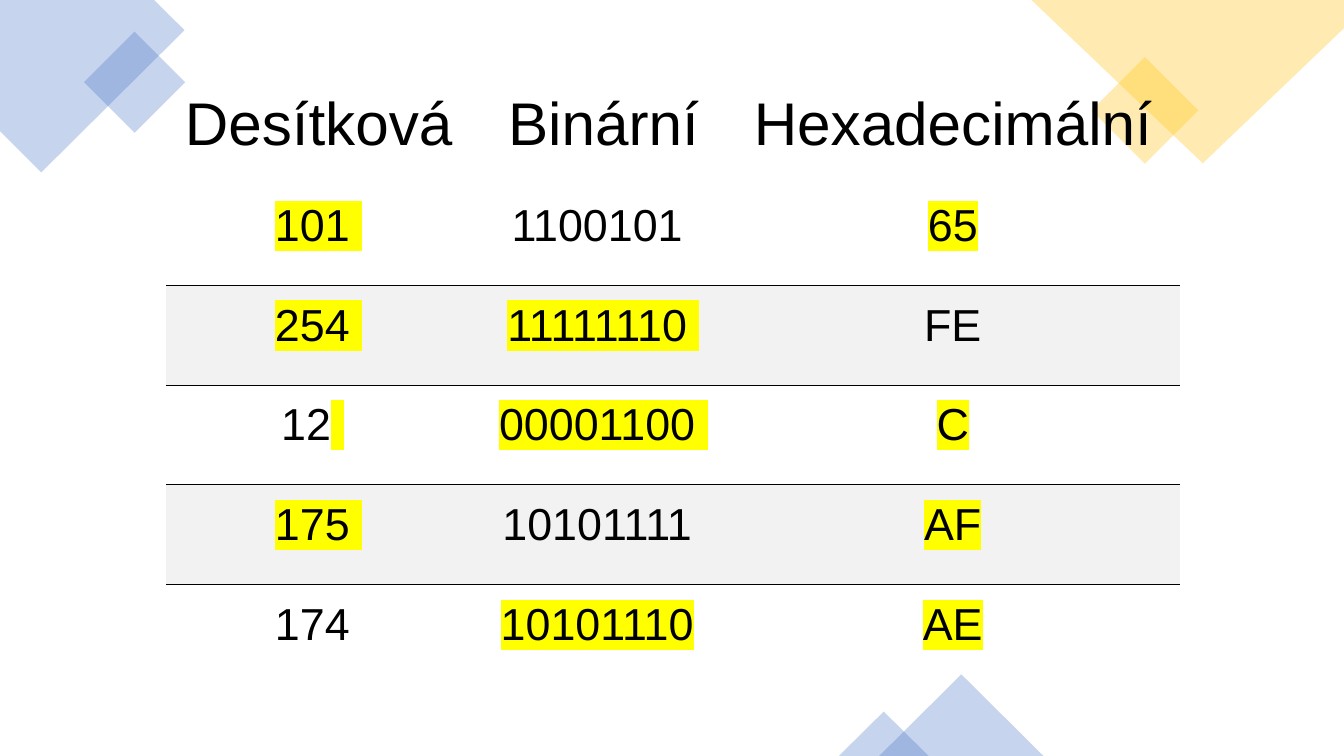
from dataclasses import dataclass

from lxml.etree import SubElement
from pptx import Presentation
from pptx.dml.color import RGBColor
from pptx.enum.shapes import MSO_SHAPE
from pptx.enum.text import MSO_ANCHOR, PP_ALIGN
from pptx.oxml import parse_xml
from pptx.oxml.ns import qn
from pptx.util import Inches, Pt

BLUE = RGBColor(0x44, 0x72, 0xC4)
GOLD = RGBColor(0xFF, 0xC0, 0x00)
BLACK = RGBColor(0x00, 0x00, 0x00)
BAND_GRAY = RGBColor(0xF2, 0xF2, 0xF2)
YELLOW = RGBColor(0xFF, 0xFF, 0x00)
DRAWING_NS = "http://schemas.openxmlformats.org/drawingml/2006/main"
NO_STYLE_NO_GRID = "{2D5ABB26-0587-4C30-8999-92F81FD0307C}"


@dataclass(frozen=True)
class Ornament:
    preset: MSO_SHAPE
    left: float
    top: float
    width: float
    height: float
    color: RGBColor
    rotation: float = 0


@dataclass(frozen=True)
class CornerPatch:
    points: tuple[tuple[float, float], ...]
    color: RGBColor


@dataclass(frozen=True)
class Piece:
    text: str
    marked: bool = False


CORNER_PATCHES = [
    CornerPatch(((1.53, 0), (0, 0), (0, 1.3), (0.41, 1.71), (1.83, 0.3)), BLUE),
    CornerPatch(((13.33, 0), (10.23, 0), (11.93, 1.62), (13.33, 0.28)), GOLD),
]
ORNAMENTS = [
    Ornament(MSO_SHAPE.RECTANGLE, 0.98, 0.46, 0.71, 0.71, BLUE, 315),
    Ornament(MSO_SHAPE.RECTANGLE, 10.98, 0.72, 0.75, 0.75, GOLD, 315),
    Ornament(MSO_SHAPE.ISOSCELES_TRIANGLE, 8.72, 6.69, 1.63, 0.81, BLUE),
    Ornament(MSO_SHAPE.ISOSCELES_TRIANGLE, 8.32, 7.06, 0.89, 0.44, BLUE),
]

# Marked pieces are the answers; many values end in a no-break space
HEADINGS = [[Piece("Desítková")], [Piece("Binární")], [Piece("Hexadecimální")]]
CONVERSIONS = [
    [[Piece("101 ", True)], [Piece("1100101 ")], [Piece("65", True)]],
    [[Piece("254 ", True)], [Piece("11111110 ", True)], [Piece("FE")]],
    [[Piece("12"), Piece(" ", True), Piece(" ")],
     [Piece("00001100 ", True)], [Piece("C", True)]],
    [[Piece("175 ", True)], [Piece("10101111 ")], [Piece("AF", True)]],
    [[Piece("174 ")], [Piece("10101110", True), Piece(" ")], [Piece("AE", True)]],
]
COLUMN_WIDTHS = [3.12, 2.53, 4.4]
HEADING_HEIGHT, ROW_HEIGHT = 1.14, 0.99

HEADING_FORMAT = {
    "vertical_anchor": MSO_ANCHOR.BOTTOM,
    "margin_left": 0, "margin_top": Inches(0.05),
    "margin_right": Inches(0.1), "margin_bottom": Inches(0.27),
}
VALUE_FORMAT = HEADING_FORMAT | {
    "vertical_anchor": MSO_ANCHOR.MIDDLE, "margin_top": Inches(0.08),
}


def tint(shape, color: RGBColor) -> None:
    """Fill with a 30 % opaque color, without outline or shadow."""
    shape.shadow.inherit = False
    shape.line.fill.background()
    shape.fill.solid()
    shape.fill.fore_color.rgb = color
    color_element = shape.fill._xPr.find(qn("a:solidFill"))[0]
    SubElement(color_element, qn("a:alpha"), val="30000")


def draw_patch(slide, patch: CornerPatch) -> None:
    start, *others = [(Inches(x), Inches(y)) for x, y in patch.points]
    builder = slide.shapes.build_freeform(*start)
    builder.add_line_segments(others, close=True)
    tint(builder.convert_to_shape(), patch.color)


def draw_ornament(slide, ornament: Ornament) -> None:
    box = (ornament.left, ornament.top, ornament.width, ornament.height)
    shape = slide.shapes.add_shape(ornament.preset, *map(Inches, box))
    shape.rotation = ornament.rotation
    tint(shape, ornament.color)


def write_cell(cell, pieces: list[Piece], size: float, cell_format: dict) -> None:
    for name, value in cell_format.items():
        setattr(cell, name, value)
    paragraph = cell.text_frame.paragraphs[0]
    paragraph.alignment = PP_ALIGN.CENTER
    for piece in pieces:
        run = paragraph.add_run()
        run.text = piece.text
        run.font.color.rgb = BLACK
        for name, value in {"size": Pt(size), "name": "Arial"}.items():
            setattr(run.font, name, value)
        if piece.marked:
            highlight = parse_xml(
                f'<a:highlight xmlns:a="{DRAWING_NS}">'
                f'<a:srgbClr val="{YELLOW}"/></a:highlight>')
            run.font._element.find(qn("a:solidFill")).addnext(highlight)


def rule_edge(cell, edge: str) -> None:
    border = parse_xml(
        f'<a:{edge} xmlns:a="{DRAWING_NS}" w="{Pt(0.75)}"><a:solidFill>'
        f'<a:srgbClr val="{BLACK}"/></a:solidFill></a:{edge}>')
    cell._tc.get_or_add_tcPr().insert(0, border)


def draw_conversions(slide) -> None:
    rows = [HEADINGS, *CONVERSIONS]
    height = HEADING_HEIGHT + ROW_HEIGHT * len(CONVERSIONS)
    frame = slide.shapes.add_table(
        len(rows), len(COLUMN_WIDTHS), Inches(1.65), Inches(0.7),
        Inches(sum(COLUMN_WIDTHS)), Inches(height))
    table = frame.table
    table.horz_banding = False
    table._tbl.tblPr.find(qn("a:tableStyleId")).text = NO_STYLE_NO_GRID
    for column, width in zip(table.columns, COLUMN_WIDTHS):
        column.width = Inches(width)
    for index, row in enumerate(rows):
        is_heading = index == 0
        is_band = index in (2, 4)
        table.rows[index].height = Inches(HEADING_HEIGHT if is_heading else ROW_HEIGHT)
        for cell, pieces in zip(table.rows[index].cells, row):
            if is_heading:
                write_cell(cell, pieces, 43, HEADING_FORMAT)
            else:
                write_cell(cell, pieces, 32, VALUE_FORMAT)
            if is_band:
                cell.fill.solid()
                cell.fill.fore_color.rgb = BAND_GRAY
                rule_edge(cell, "lnT")
            else:
                cell.fill.background()
                if index in (1, 3):
                    rule_edge(cell, "lnB")


def main() -> None:
    presentation = Presentation()
    presentation.slide_width = Inches(13.33)
    presentation.slide_height = Inches(7.5)
    slide = presentation.slides.add_slide(presentation.slide_layouts[6])
    # Corner decoration
    for patch in CORNER_PATCHES:
        draw_patch(slide, patch)
    for ornament in ORNAMENTS:
        draw_ornament(slide, ornament)
    # Number system table
    draw_conversions(slide)
    presentation.save("out.pptx")


if __name__ == "__main__":
    main()
